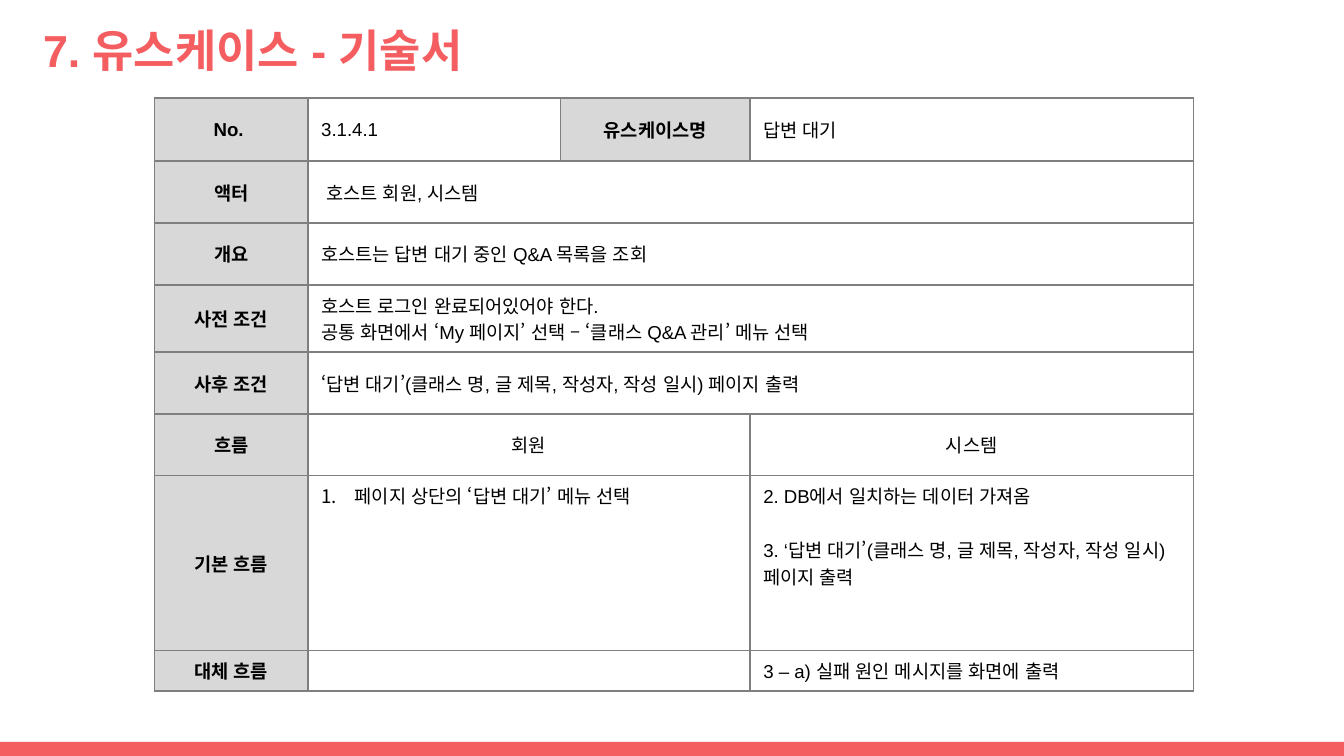
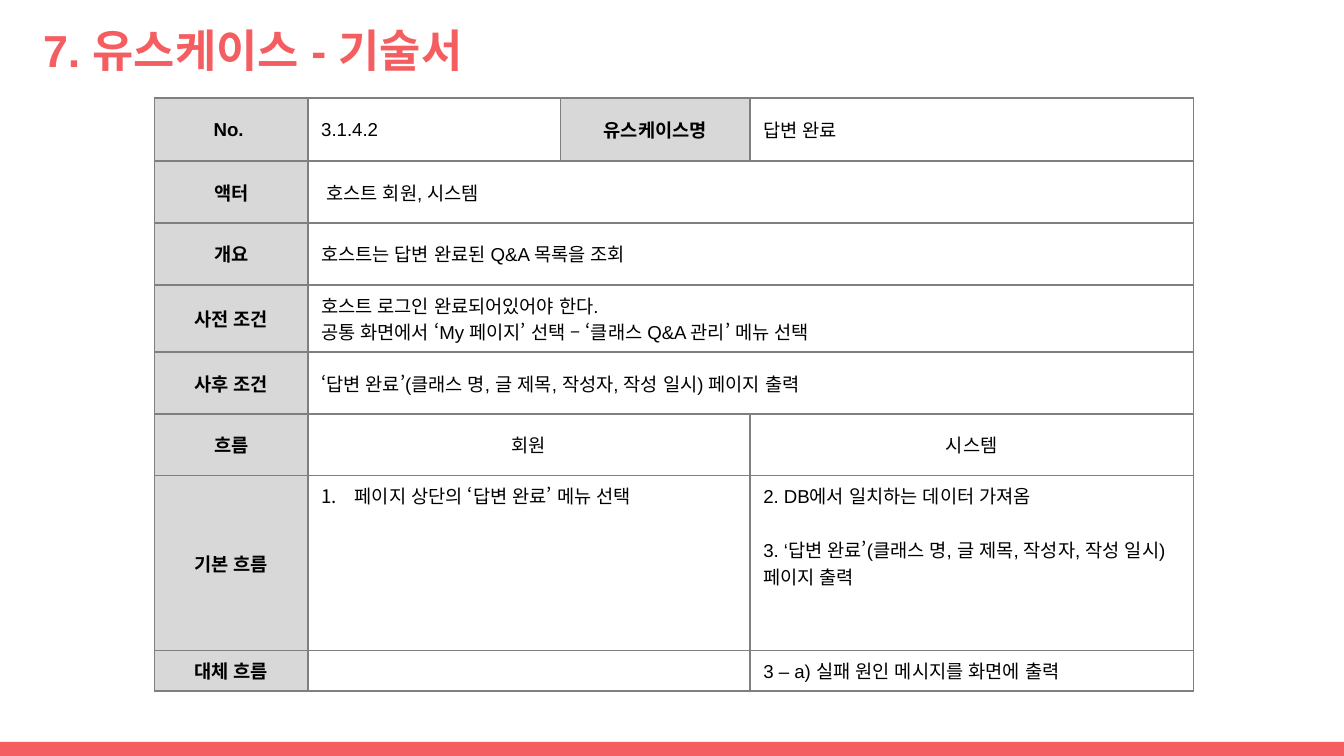
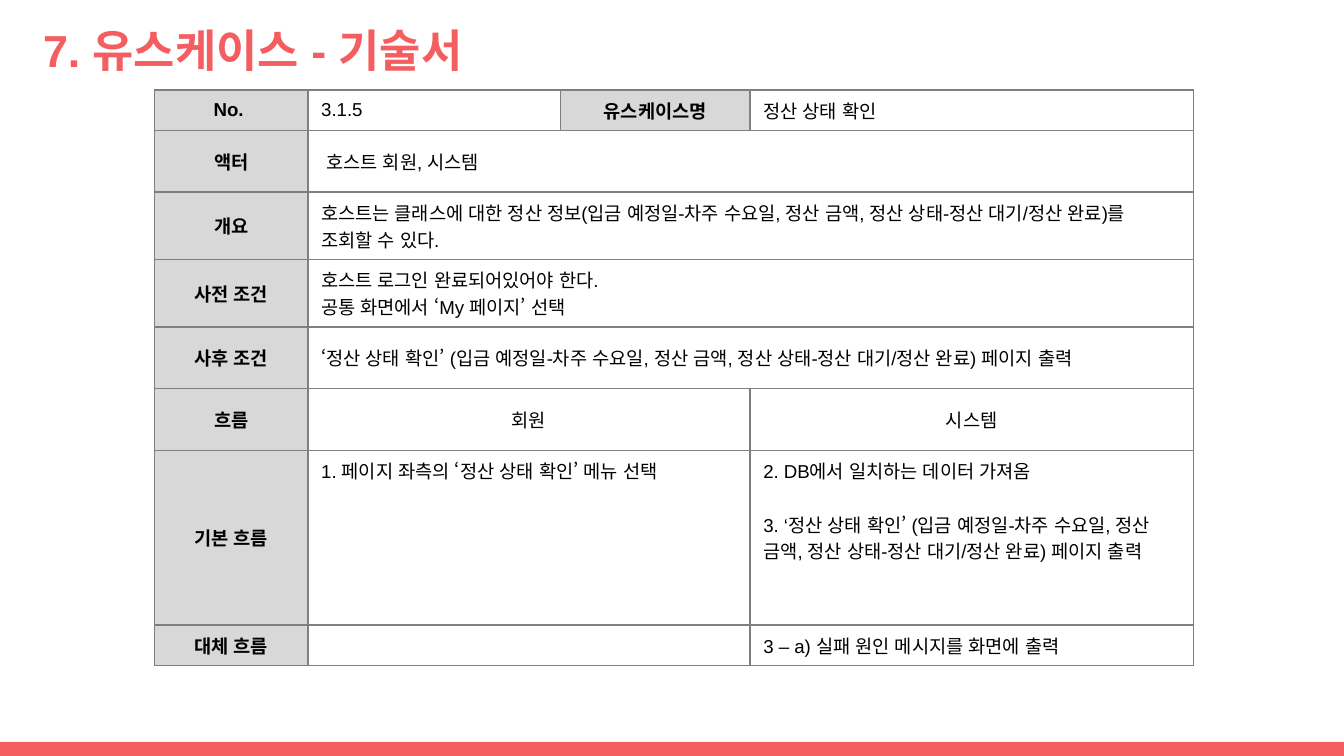
from pptx import Presentation
from pptx.dml.color import RGBColor
from pptx.enum.lang import MSO_LANGUAGE_ID
from pptx.enum.shapes import MSO_SHAPE
from pptx.enum.text import MSO_ANCHOR, MSO_AUTO_SIZE, PP_ALIGN
from pptx.oxml.xmlchemy import OxmlElement
from pptx.util import Inches, Pt

# Content
TITLE = "7. 유스케이스 - 기술서"
ACTORS = " 호스트 회원, 시스템"
LOGIN = "호스트 로그인 완료되어있어야 한다."
MY_PAGE = "공통 화면에서 ‘My 페이지’ 선택"
QNA_MENU = MY_PAGE + " – ‘클래스 Q&A 관리’ 메뉴 선택"
FETCH = "2. DB에서 일치하는 데이터 가져옴"
FAILURE = "3 – a) 실패 원인 메시지를 화면에 출력"
ANSWER_FIELDS = "(클래스 명, 글 제목, 작성자, 작성 일시)"
PAYOUT_FIELDS = "(입금 예정일-차주 수요일, 정산 금액, 정산 상태-정산 대기/정산 완료)"

USE_CASES = [
    {
        "no": "3.1.4.1", "name": "답변 대기",
        "summary": "호스트는 답변 대기 중인 Q&A 목록을 조회",
        "before": [LOGIN, QNA_MENU],
        "after": f"‘답변 대기’{ANSWER_FIELDS} 페이지 출력",
        "member": "페이지 상단의 ‘답변 대기’ 메뉴 선택", "numbered": True,
        "top": 0.73, "heights": [0.47, 0.46, 0.46, 0.5, 0.46, 0.46, 1.3, 0.3],
    },
    {
        "no": "3.1.4.2", "name": "답변 완료",
        "summary": "호스트는 답변 완료된 Q&A 목록을 조회",
        "before": [LOGIN, QNA_MENU],
        "after": f"‘답변 완료’{ANSWER_FIELDS} 페이지 출력",
        "member": "페이지 상단의 ‘답변 완료’ 메뉴 선택", "numbered": True,
        "top": 0.73, "heights": [0.47, 0.46, 0.46, 0.5, 0.46, 0.46, 1.3, 0.3],
    },
    {
        "no": "3.1.5", "name": "정산 상태 확인",
        "summary": f"호스트는 클래스에 대한 정산 정보{PAYOUT_FIELDS}를 조회할 수 있다.",
        "before": [LOGIN, MY_PAGE],
        "after": f"‘정산 상태 확인’ {PAYOUT_FIELDS} 페이지 출력",
        "member": "1. 페이지 좌측의 ‘정산 상태 확인’ 메뉴 선택", "numbered": False,
        "top": 0.67, "heights": [0.3, 0.46, 0.5, 0.5, 0.46, 0.46, 1.3, 0.3],
    },
]

# Shared look
FONT = "Arial"
CORAL, BLACK, LABEL_GRAY, BORDER_GRAY = "F55E61", "000000", "D8D8D8", "7F7F7F"
TABLE_LEFT = 1.15
COLUMNS = [1.14, 1.88, 1.41, 3.3]
STEP_GAP = Pt(14.3)


def color(value):
    return RGBColor.from_string(value)


def style_runs(paragraph, size, value, bold):
    for run in paragraph.runs:
        run.font.size, run.font.bold, run.font.name = Pt(size), bold, FONT
        run.font.language_id = MSO_LANGUAGE_ID.KOREAN
        run.font.color.rgb = color(value)


def indent(paragraph, inches, numbered=False):
    properties = paragraph._p.get_or_add_pPr()
    properties.set("marL", str(Inches(inches)))
    properties.set("indent", str(-Inches(inches)))
    if numbered:
        number = OxmlElement("a:buAutoNum")
        number.set("type", "arabicPeriod")
        properties.append(number)


def add_borders(cell):
    properties = cell._tc.get_or_add_tcPr()
    for side in ("a:lnL", "a:lnR", "a:lnT", "a:lnB"):
        line, fill, tint = map(OxmlElement, (side, "a:solidFill", "a:srgbClr"))
        line.set("w", str(Pt(1)))
        tint.set("val", BORDER_GRAY)
        fill.append(tint)
        line.append(fill)
        properties.append(line)


def fill_cell(cell, lines, label=False, centered=False, top=False):
    cell.text_frame.text = "\n".join(lines)
    cell.vertical_anchor = MSO_ANCHOR.TOP if top else MSO_ANCHOR.MIDDLE
    if label:
        cell.fill.solid()
        cell.fill.fore_color.rgb = color(LABEL_GRAY)
    for paragraph in cell.text_frame.paragraphs:
        paragraph.alignment = PP_ALIGN.CENTER if label or centered else PP_ALIGN.LEFT
        style_runs(paragraph, 10, BLACK, label)
        if not paragraph.runs:
            end = OxmlElement("a:endParaRPr")
            end.set("sz", "1000")
            paragraph._p.append(end)


def add_band(slide, master):
    band = slide.shapes.add_shape(MSO_SHAPE.RECTANGLE, 0, Inches(5.52), Inches(10), Inches(0.11))
    band.shadow.inherit = False
    band.fill.solid()
    band.fill.fore_color.rgb = color(CORAL)
    band.line.fill.background()
    master.shapes._spTree.insert(2, band._element)


def add_title(slide):
    title = slide.shapes.title
    title.left, title.top, title.width, title.height = map(Inches, (0.22, 0.07, 9.32, 0.6))
    frame = title.text_frame
    frame.text = TITLE
    frame.auto_size = MSO_AUTO_SIZE.NONE
    frame.vertical_anchor = MSO_ANCHOR.MIDDLE
    frame.margin_left = frame.margin_right = frame.margin_top = frame.margin_bottom = Inches(0.1)
    frame.paragraphs[0].alignment = PP_ALIGN.LEFT
    style_runs(frame.paragraphs[0], 24, CORAL, True)


def add_use_case(slide, case):
    heights = case["heights"]
    table = slide.shapes.add_table(
        len(heights), len(COLUMNS), Inches(TABLE_LEFT), Inches(case["top"]),
        Inches(sum(COLUMNS)), Inches(sum(heights))).table
    table.first_row = table.horz_banding = False
    for column, width in zip(table.columns, COLUMNS):
        column.width = Inches(width)
    for row, height in zip(table.rows, heights):
        row.height = Inches(height)
    for cell in table.iter_cells():
        add_borders(cell)
        cell.fill.background()
        cell.margin_left = cell.margin_right = Inches(0.1)
        cell.margin_top = cell.margin_bottom = Inches(0.05)

    # Identification row
    fill_cell(table.cell(0, 0), ["No. "], label=True)
    fill_cell(table.cell(0, 1), [case["no"]])
    fill_cell(table.cell(0, 2), ["유스케이스명"], label=True)
    fill_cell(table.cell(0, 3), [case["name"]])

    # Rows with one wide detail
    details = [
        ("액터", [ACTORS]),
        ("개요", [case["summary"]]),
        ("사전 조건", case["before"]),
        ("사후 조건", [case["after"]]),
    ]
    for row, (label, lines) in enumerate(details, start=1):
        table.cell(row, 1).merge(table.cell(row, 3))
        fill_cell(table.cell(row, 0), [label], label=True)
        fill_cell(table.cell(row, 1), lines)

    # Flow rows: member beside system
    flows = [
        ("흐름", ["회원"], ["시스템"]),
        ("기본 흐름", [case["member"]], [FETCH, "3. " + case["after"]]),
        ("대체 흐름", [], [FAILURE]),
    ]
    for row, (label, member, system) in enumerate(flows, start=1 + len(details)):
        heading = label == "흐름"
        table.cell(row, 1).merge(table.cell(row, 2))
        fill_cell(table.cell(row, 0), [label], label=True)
        for column, lines in ((1, member), (3, system)):
            fill_cell(table.cell(row, column), lines, centered=heading, top=not heading)
    if case["numbered"]:
        indent(table.cell(6, 1).text_frame.paragraphs[0], 0.25, numbered=True)
    table.cell(6, 3).text_frame.paragraphs[1].space_before = STEP_GAP
    indent(table.cell(7, 3).text_frame.paragraphs[0], 0.4)


def main():
    deck = Presentation()
    deck.slide_width = Inches(10)
    deck.slide_height = deck.slide_width * 9 // 16
    for case in USE_CASES:
        slide = deck.slides.add_slide(deck.slide_layouts[5])
        add_title(slide)
        add_use_case(slide, case)
    add_band(deck.slides[0], deck.slide_master)
    deck.save("out.pptx")


if __name__ == "__main__":
    main()
